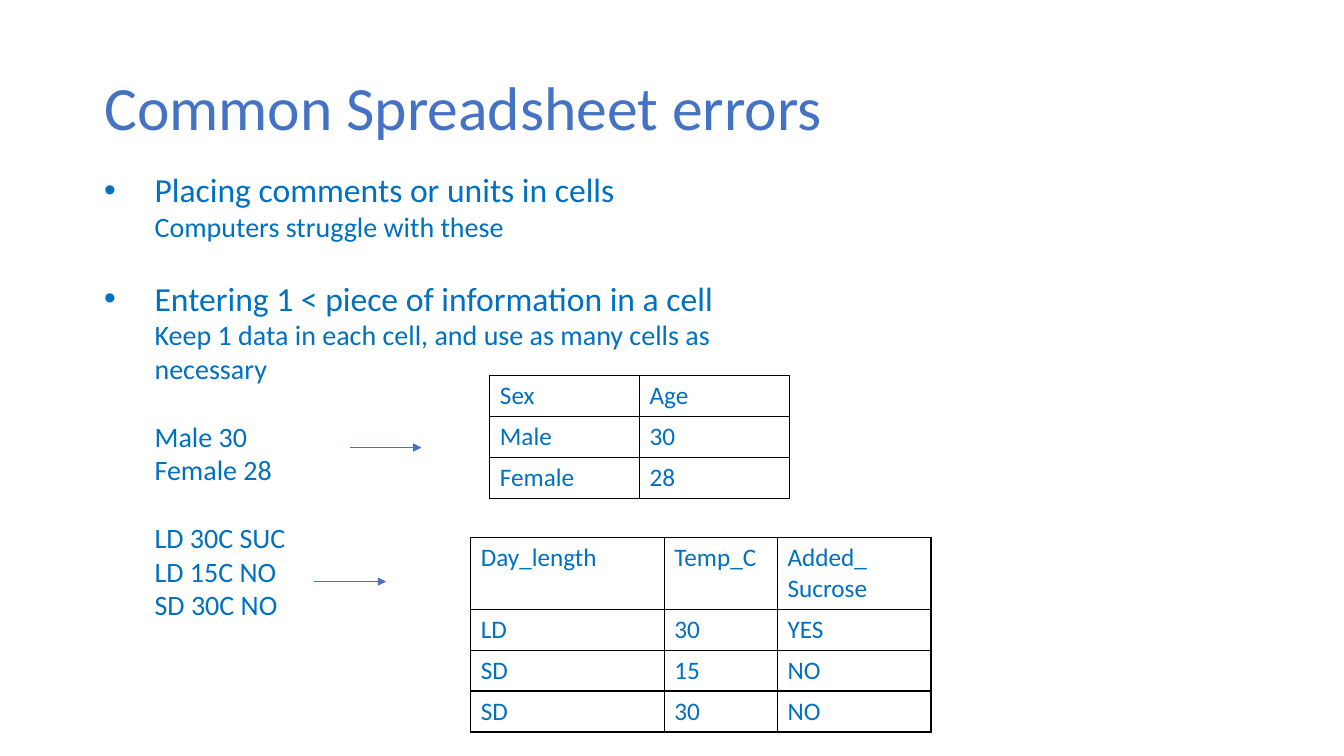
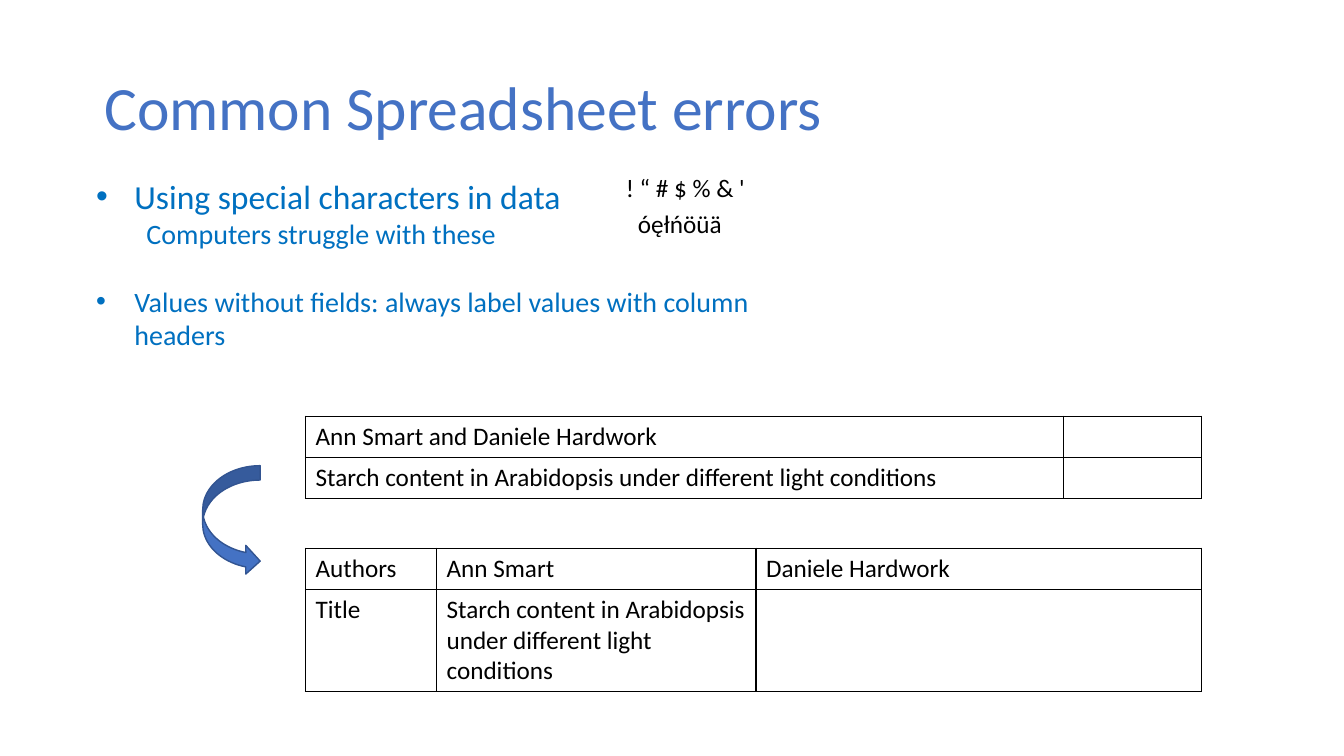
from dataclasses import dataclass

from lxml import etree
from pptx import Presentation
from pptx import util as u
from pptx.dml.color import RGBColor
from pptx.enum import shapes, text
from pptx.oxml import ns


@dataclass(frozen=True)
class Theme:
    font: str = "Calibri"
    accent: str = "4472C4"
    accent_dark: str = "325491"
    body: str = "0070C0"
    ink: str = "000000"
    title_size: int = 44
    heading_size: int = 24
    detail_size: int = 20
    cell_size: int = 18
    group_gap: float = 24.4
    row: float = 5.42


THEME = Theme()
WIDTH = u.Inches(13.333)
HEIGHT = u.Inches(7.5)
TITLE = "Common Spreadsheet errors"


def across(share):
    return round(WIDTH * share / 100)


def down(share):
    return round(HEIGHT * share / 100)


def place(box, left, top, width, height):
    box.left, box.top = across(left), down(top)
    box.width, box.height = across(width), down(height)


def add_node(parent, tag, **attributes):
    return etree.SubElement(parent, ns.qn(tag), **attributes)


def write(para, words, size=THEME.cell_size, color=THEME.ink, before=0, spacing=None):
    para.alignment = text.PP_ALIGN.LEFT
    para.space_before = u.Pt(before)
    if spacing:
        para.line_spacing = spacing
    span = para.add_run()
    span.text = words
    span.font.name = THEME.font
    span.font.size = u.Pt(size)
    span.font.color.rgb = RGBColor.from_string(color)


def add_page(deck):
    page = deck.slides.add_slide(deck.slide_layouts[1])
    write(page.shapes.title.text_frame.paragraphs[0], TITLE,
          size=THEME.title_size, color=THEME.accent, spacing=0.9)
    return page


def bullet(words, size=THEME.heading_size, gap=False):
    return words, size, gap, True


def detail(words, gap=False):
    return words, THEME.detail_size, gap, False


def fill_list(page, area, items, hanging):
    body = page.placeholders[1]
    place(body, *area)
    frame = body.text_frame
    frame.auto_size = text.MSO_AUTO_SIZE.NONE
    for index, (words, size, gap, bulleted) in enumerate(items):
        para = frame.add_paragraph() if index else frame.paragraphs[0]
        write(para, words, size=size, color=THEME.body,
              before=THEME.group_gap if gap else 0)
        para.level = 0 if bulleted else 1
        properties = para._p.get_or_add_pPr()
        margin = u.Inches(hanging if bulleted else 0.5)
        properties.set("marL", str(margin))
        properties.set("indent", str(-margin if bulleted else 0))
        if bulleted:
            add_node(properties, "a:buFont", typeface="Arial")
            add_node(properties, "a:buChar", char="•")
        else:
            add_node(properties, "a:buNone")


def outline_cell(cell):
    properties = cell._tc.get_or_add_tcPr()
    for side in ("a:lnL", "a:lnR", "a:lnT", "a:lnB"):
        line = add_node(properties, side, w=str(u.Pt(1)))
        add_node(add_node(line, "a:solidFill"), "a:srgbClr", val=THEME.ink)
    cell.fill.background()


def add_grid(page, left, top, columns, rows, values, color=THEME.ink):
    grid = page.shapes.add_table(
        len(rows), len(columns), across(left), down(top),
        across(sum(columns)), down(sum(rows))).table
    grid.first_row = grid.horz_banding = False
    for column, share in zip(grid.columns, columns):
        column.width = across(share)
    for row, share, words in zip(grid.rows, rows, values):
        row.height = down(share)
        for cell, word in zip(row.cells, words):
            outline_cell(cell)
            if word:
                write(cell.text_frame.paragraphs[0], word, color=color)


def add_arrow(page, left, top, length=5.33):
    arrow = page.shapes.add_connector(
        shapes.MSO_CONNECTOR.STRAIGHT,
        across(left), down(top), across(left + length), down(top))
    arrow.line.color.rgb = RGBColor.from_string(THEME.accent)
    arrow.line.width = u.Pt(0.5)
    properties = arrow.element.spPr
    add_node(properties.find(ns.qn("a:ln")), "a:tailEnd", type="triangle")
    add_node(properties, "a:effectLst")


def add_curved_arrow(page, left, top, width, height):
    arrow = page.shapes.add_shape(
        shapes.MSO_SHAPE.CURVED_RIGHT_ARROW,
        across(left), down(top), across(width), down(height))
    arrow.shadow.inherit = False
    arrow.fill.solid()
    arrow.fill.fore_color.rgb = RGBColor.from_string(THEME.accent)
    arrow.line.color.rgb = RGBColor.from_string(THEME.accent_dark)
    arrow.line.width = u.Pt(1)


def add_label(page, left, top, width, words):
    box = page.shapes.add_textbox(
        across(left), down(top), across(width), down(5.33))
    box.text_frame.word_wrap = False
    write(box.text_frame.paragraphs[0], words)


def build_cell_content_page(deck):
    page = add_page(deck)
    fill_list(page, (7, 21.73, 54.2, 66), [
        bullet("Placing comments or units in cells"),
        detail("Computers struggle with these"),
        bullet("Entering 1 < piece of information in a cell", gap=True),
        detail("Keep 1 data in each cell, and use as many cells as necessary"),
        detail("Male 30", gap=True),
        detail("Female 28"),
        detail("LD 30C SUC", gap=True),
        detail("LD 15C NO"),
        detail("SD 30C NO"),
    ], hanging=0.5)
    add_grid(page, 36.45, 49.7, [11.14] * 2, [THEME.row] * 3, [
        ("Sex", "Age"),
        ("Male", "30"),
        ("Female", "28"),
    ], color=THEME.body)
    add_grid(page, 35.03, 71.1, [14.4, 8.43, 11.42], [9.26] + [THEME.row] * 3, [
        ("Day_length", "Temp_C", "Added_ Sucrose"),
        ("LD", "30", "YES"),
        ("SD", "15", "NO"),
        ("SD", "30", "NO"),
    ], color=THEME.body)
    add_arrow(page, 26.03, 59.2)
    add_arrow(page, 23.4, 76.93)


def build_labelling_page(deck):
    page = add_page(deck)
    fill_list(page, (6.4, 22.6, 54.2, 29), [
        bullet("Using special characters in data"),
        detail("Computers struggle with these"),
        bullet("Values without fields: always label values with column headers",
               size=THEME.detail_size, gap=True),
    ], hanging=0.38)
    add_curved_arrow(page, 15.08, 61.6, 4.28, 14.53)
    study = "Starch content in Arabidopsis under different light conditions"
    add_grid(page, 22.73, 55.07, [56.4, 10.25], [THEME.row] * 2, [
        ("Ann Smart and Daniele Hardwork", ""),
        (study, ""),
    ])
    add_grid(page, 22.73, 72.53, [9.75, 23.78, 33.12], [THEME.row, 13.4], [
        ("Authors", "Ann Smart", "Daniele Hardwork"),
        ("Title", study, ""),
    ])
    add_label(page, 45.83, 22.13, 10.5, "! “ # $ % & '")
    add_label(page, 46.73, 26.93, 7.88, "óęłńöüä")


def main():
    deck = Presentation()
    deck.slide_width, deck.slide_height = WIDTH, HEIGHT
    place(deck.slide_layouts[1].placeholders[0], 7, 4.93, 86.25, 19.33)
    build_cell_content_page(deck)
    build_labelling_page(deck)
    deck.save("out.pptx")


if __name__ == "__main__":
    main()
